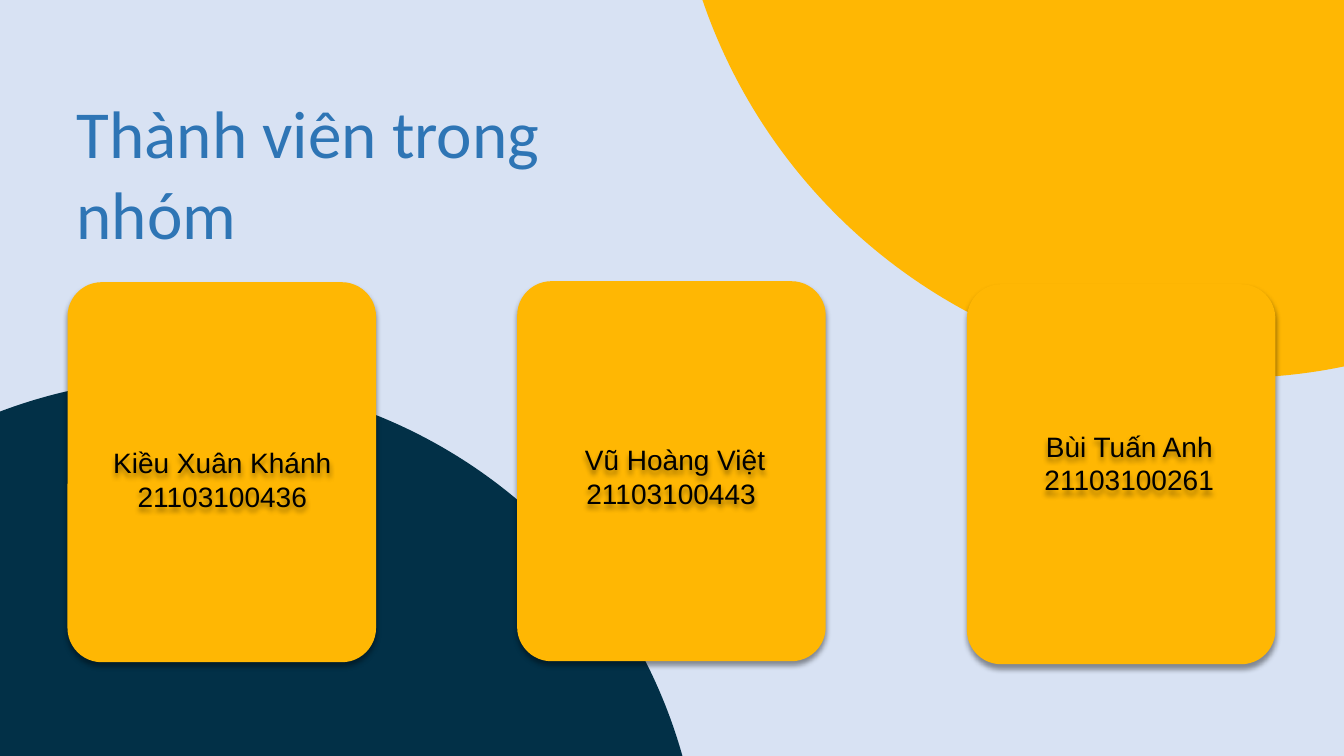
from dataclasses import dataclass

from lxml import etree
from pptx import Presentation
from pptx import util as u
from pptx.dml.color import RGBColor
from pptx.enum import shapes, text
from pptx.oxml import ns

TITLE = "Thành viên trong nhóm"
TITLE_BOX = (0.66, 0.86, 6.15, 0.91)
MEMBERS = [
    {"lines": ("Kiều Xuân Khánh", "21103100436"), "card_top": 2.8, "label": (0.84, 4.37, 2.73)},
    {"lines": ("Vũ Hoàng Việt", "21103100443 "), "card_top": 2.79, "label": (5.5, 4.34, 2.39)},
    {"lines": ("Bùi Tuấn Anh", "21103100261"), "card_top": 2.82, "label": (10.09, 4.21, 2.22)},
]
CARD_LEFT, CARD_STEP = 0.67, 4.46
CARD_WIDTH, CARD_HEIGHT = 3.06, 3.77
CARD_ROUNDING = 0.111
LABEL_HEIGHT = 0.77


@dataclass(frozen=True)
class Theme:
    background: str = "D8E2F3"
    yellow: str = "FFB703"
    navy: str = "023047"
    title_color: str = "2E75B5"
    black: str = "000000"
    title_font: str = "Calibri"
    label_font: str = "Arial"
    title_size: int = 48
    label_size: int = 20


THEME = Theme()
CIRCLES = [(6.67, -7.33, 11.08, THEME.yellow), (-3.32, 3.75, 10.28, THEME.navy)]


def inches(*lengths):
    return [u.Inches(length) for length in lengths]


def add_filled_shape(parent, kind, box, color):
    shape = parent.add_shape(kind, *inches(*box))
    shape.shadow.inherit = False
    shape.fill.solid()
    shape.fill.fore_color.rgb = RGBColor.from_string(color)
    shape.line.fill.background()
    return shape


def add_shadow(shape):
    shape.shadow.inherit = False
    effects = shape._element.spPr.find(ns.qn("a:effectLst"))
    shadow = etree.SubElement(
        effects, ns.qn("a:outerShdw"), blurRad=str(u.Pt(4)), dist=str(u.Pt(3)),
        dir=str(90 * 60000), algn="t", rotWithShape="0",
    )
    color = etree.SubElement(shadow, ns.qn("a:srgbClr"), val=THEME.black)
    etree.SubElement(color, ns.qn("a:alpha"), val="40000")


def write_lines(frame, lines, font, size, color, alignment):
    frame.word_wrap = True
    frame.auto_size = text.MSO_AUTO_SIZE.SHAPE_TO_FIT_TEXT
    frame.vertical_anchor = text.MSO_ANCHOR.TOP
    for index, line in enumerate(lines):
        paragraph = frame.add_paragraph() if index else frame.paragraphs[0]
        paragraph.alignment = alignment
        paragraph.line_spacing = 1.0
        run = paragraph.add_run()
        run.text = line
        run.font.name = font
        run.font.size = u.Pt(size)
        run.font.color.rgb = RGBColor.from_string(color)


def add_title(slide):
    title = slide.shapes.title
    title.left, title.top, title.width, title.height = inches(*TITLE_BOX)
    write_lines(title.text_frame, [TITLE], THEME.title_font, THEME.title_size,
                THEME.title_color, text.PP_ALIGN.LEFT)
    slide.shapes._spTree.append(title._element)


def add_member(slide, index, member):
    group = slide.shapes.add_group_shape()
    card_box = (CARD_LEFT + index * CARD_STEP, member["card_top"], CARD_WIDTH, CARD_HEIGHT)
    card = add_filled_shape(group.shapes, shapes.MSO_SHAPE.ROUNDED_RECTANGLE, card_box, THEME.yellow)
    card.adjustments[0] = CARD_ROUNDING
    label = group.shapes.add_textbox(*inches(*member["label"], LABEL_HEIGHT))
    write_lines(label.text_frame, member["lines"], THEME.label_font, THEME.label_size,
                THEME.black, text.PP_ALIGN.CENTER)
    for shape in (card, label):
        add_shadow(shape)


def main():
    presentation = Presentation()
    presentation.slide_width, presentation.slide_height = inches(13.33, 7.5)
    slide = presentation.slides.add_slide(presentation.slide_layouts[5])
    slide.background.fill.solid()
    slide.background.fill.fore_color.rgb = RGBColor.from_string(THEME.background)
    for left, top, diameter, color in CIRCLES:
        add_filled_shape(slide.shapes, shapes.MSO_SHAPE.OVAL, (left, top, diameter, diameter), color)
    add_title(slide)
    for index, member in enumerate(MEMBERS):
        add_member(slide, index, member)
    presentation.save("out.pptx")


if __name__ == "__main__":
    main()
